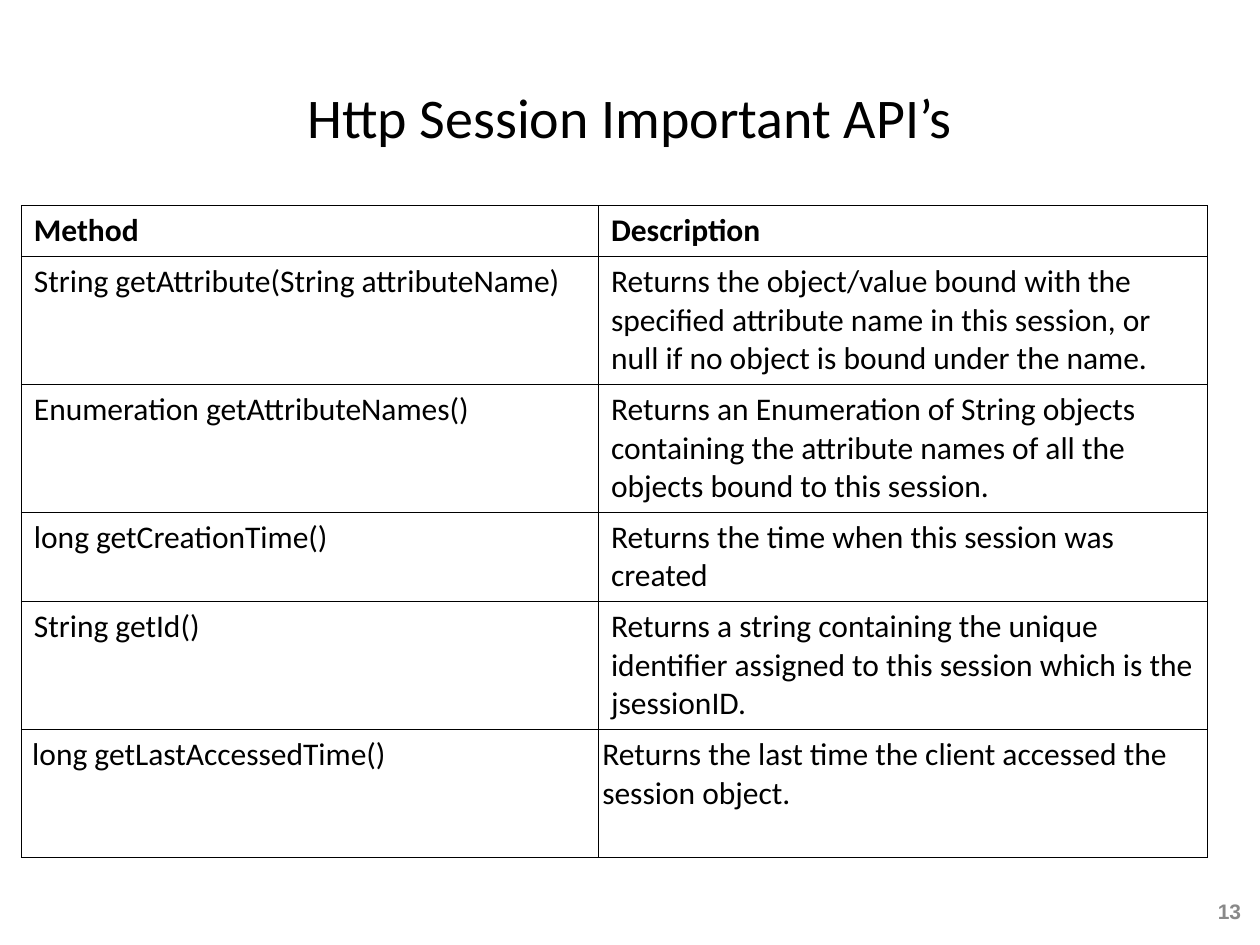
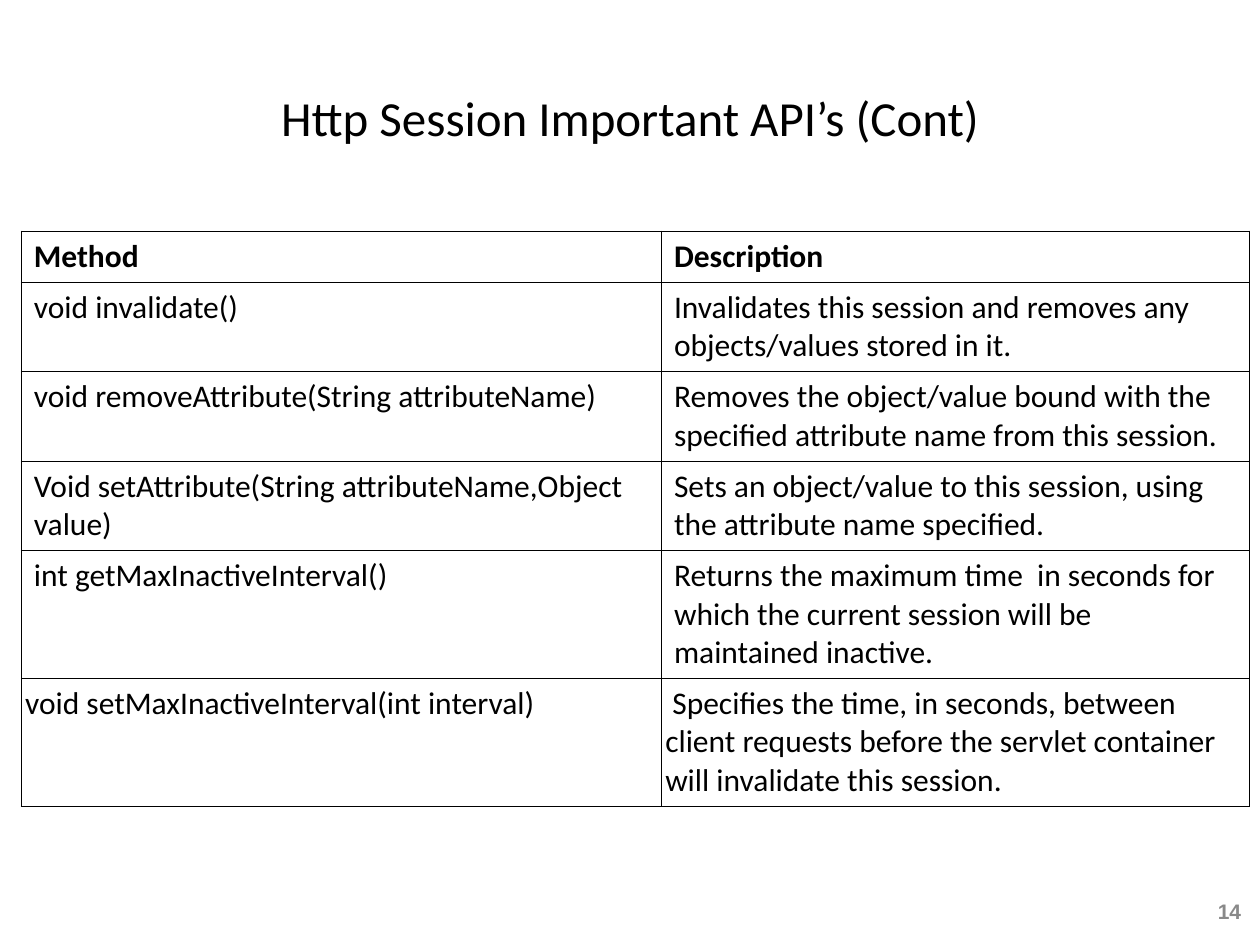
"""Build two slides with tables of the HttpSession methods."""
from lxml.etree import SubElement
from pptx import Presentation
from pptx.dml.color import RGBColor
from pptx.enum.text import MSO_ANCHOR as Anchor, PP_ALIGN as Align
from pptx.oxml.ns import qn
from pptx.util import Pt

BLACK = RGBColor(0x00, 0x00, 0x00)
GREY = RGBColor(0x89, 0x89, 0x89)
BODY_FONT = "Calibri"
NUMBER_FONT = "Arial"
TABLE_LEFT = 12.2
LINE_HEIGHT = 21.96
CELL_MARGIN = 3.6
WIDE_MARGIN = 7.2
NARROW_MARGIN = 2.2
HEADER = ("Method", "Description", 1)

SLIDES = [
    {
        "title": "Http Session Important API’s", "title_size": 32, "number": "13",
        "top": 117.4, "columns": (329.8, 348),
        "methods": [
            ("String getAttribute(String attributeName)",
             "Returns the object/value bound with the specified attribute name in this session, "
             "or null if no object is bound under the name.", 3),
            ("Enumeration getAttributeNames()",
             "Returns an Enumeration of String objects containing the attribute names of all the "
             "objects bound to this session.", 3),
            ("long getCreationTime()", "Returns the time when this session was created", 2),
            ("String getId()",
             "Returns a string containing the unique identifier assigned to this session which "
             "is the jsessionID.", 3),
            (" long getLastAccessedTime()",
             "Returns the last time the client accessed the session object.", 3),
        ],
    },
    {
        "title": "Http Session Important API’s (Cont)", "title_size": 28, "number": "14",
        "top": 132, "columns": (365.8, 336.2),
        "methods": [
            ("void invalidate()",
             "Invalidates this session and removes any objects/values stored in it.", 2),
            ("void removeAttribute(String attributeName)",
             "Removes the object/value bound with the specified attribute name from this "
             "session.", 2),
            ("Void setAttribute(String attributeName,Object value)",
             "Sets an object/value to this session, using the attribute name specified.", 2),
            ("int getMaxInactiveInterval()",
             "Returns the maximum time  in seconds for which the current session will be "
             "maintained inactive.", 3),
            ("void setMaxInactiveInterval(int interval)",
             " Specifies the time, in seconds, between client requests before the servlet "
             "container will invalidate this session.", 3),
        ],
    },
]


def format_text(text_frame, font_name, size, color, bold=False, align=Align.LEFT):
    """Format the only paragraph of a text frame."""
    paragraph = text_frame.paragraphs[0]
    paragraph.alignment = align
    font = paragraph.runs[0].font
    font.name, font.size, font.bold = font_name, Pt(size), bold
    font.color.rgb = color


def add_borders(cell):
    """Draw a thin black line on each side of a cell."""
    properties = cell._tc.get_or_add_tcPr()
    for index, side in enumerate(("a:lnL", "a:lnR", "a:lnT", "a:lnB")):
        line = properties.makeelement(qn(side), {"w": str(Pt(0.45))})
        properties.insert(index, line)
        fill = SubElement(line, qn("a:solidFill"))
        SubElement(fill, qn("a:srgbClr"), val=str(BLACK))


presentation = Presentation()
presentation.slide_width, presentation.slide_height = Pt(720), Pt(540)

for content in SLIDES:
    slide = presentation.slides.add_slide(presentation.slide_layouts[5])

    title = slide.shapes.title
    title.left, title.top, title.width, title.height = Pt(36), Pt(21.6), Pt(648), Pt(90)
    title.text_frame.text = content["title"]
    title.text_frame.vertical_anchor = Anchor.MIDDLE
    format_text(title.text_frame, BODY_FONT, content["title_size"], BLACK, align=Align.CENTER)

    number = slide.shapes.add_textbox(Pt(681), Pt(508.3), Pt(35.3), Pt(25.2))
    number.text_frame.text = content["number"]
    number.text_frame.word_wrap = True
    number.text_frame.vertical_anchor = Anchor.MIDDLE
    format_text(number.text_frame, NUMBER_FONT, 12, GREY, bold=True, align=Align.RIGHT)

    rows = [HEADER] + content["methods"]
    heights = [lines * LINE_HEIGHT + 2 * CELL_MARGIN for *_, lines in rows]
    table = slide.shapes.add_table(
        len(rows), 2, Pt(TABLE_LEFT), Pt(content["top"]),
        Pt(sum(content["columns"])), Pt(sum(heights))).table
    table.first_row = table.horz_banding = False
    for column, width in zip(table.columns, content["columns"]):
        column.width = Pt(width)

    for row_index, (method, description, _) in enumerate(rows):
        table.rows[row_index].height = Pt(heights[row_index])
        side_margin = NARROW_MARGIN if row_index == len(rows) - 1 else WIDE_MARGIN
        for column_index, text in enumerate((method, description)):
            cell = table.cell(row_index, column_index)
            cell.text_frame.text = text
            cell.margin_left = cell.margin_right = Pt(side_margin)
            cell.margin_top = cell.margin_bottom = Pt(CELL_MARGIN)
            cell.vertical_anchor = Anchor.TOP
            cell.fill.background()
            format_text(cell.text_frame, BODY_FONT, 18, BLACK, bold=row_index == 0)
            add_borders(cell)

presentation.save("out.pptx")
